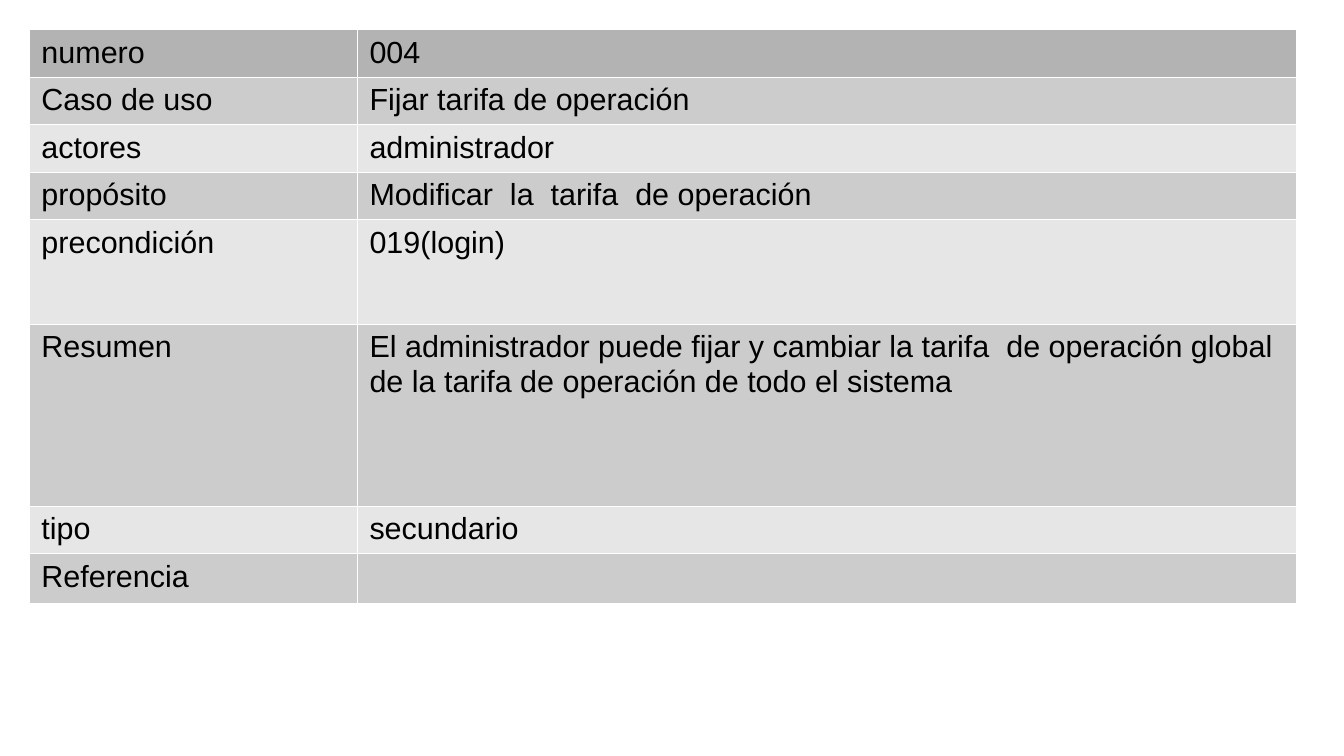
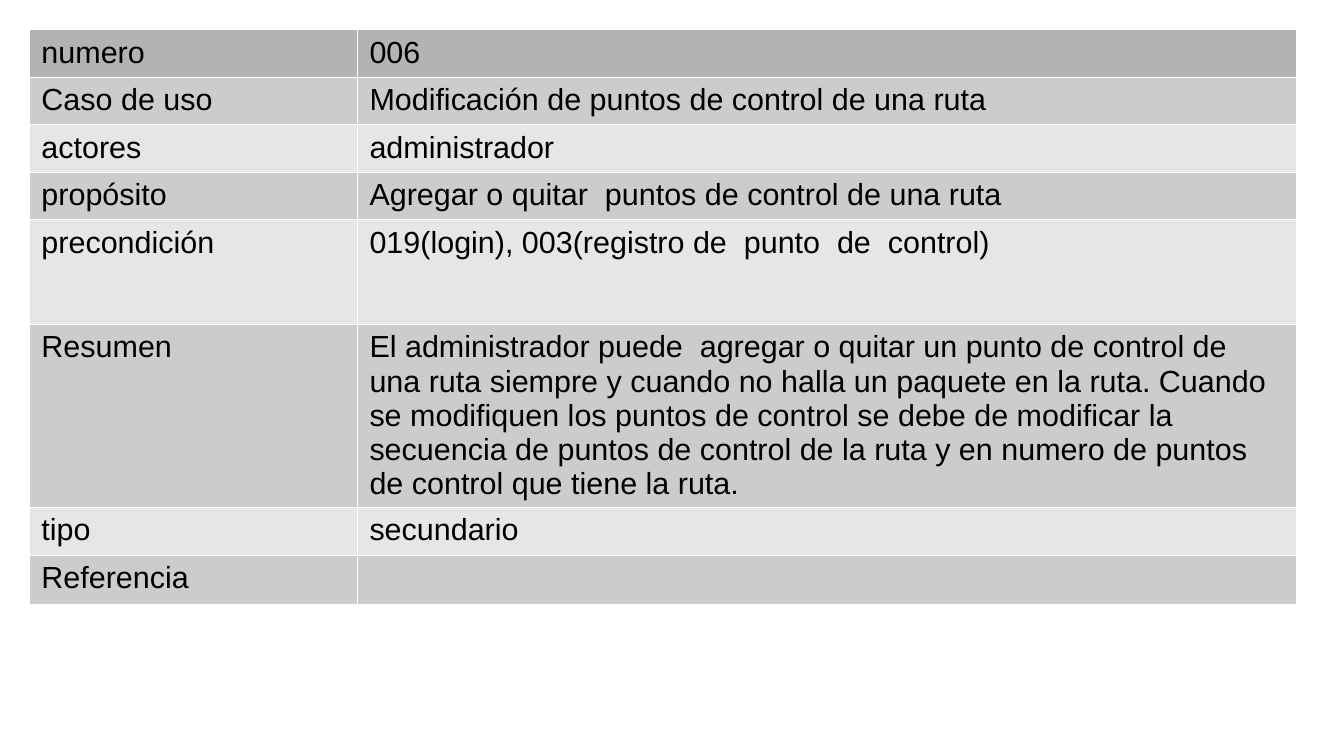
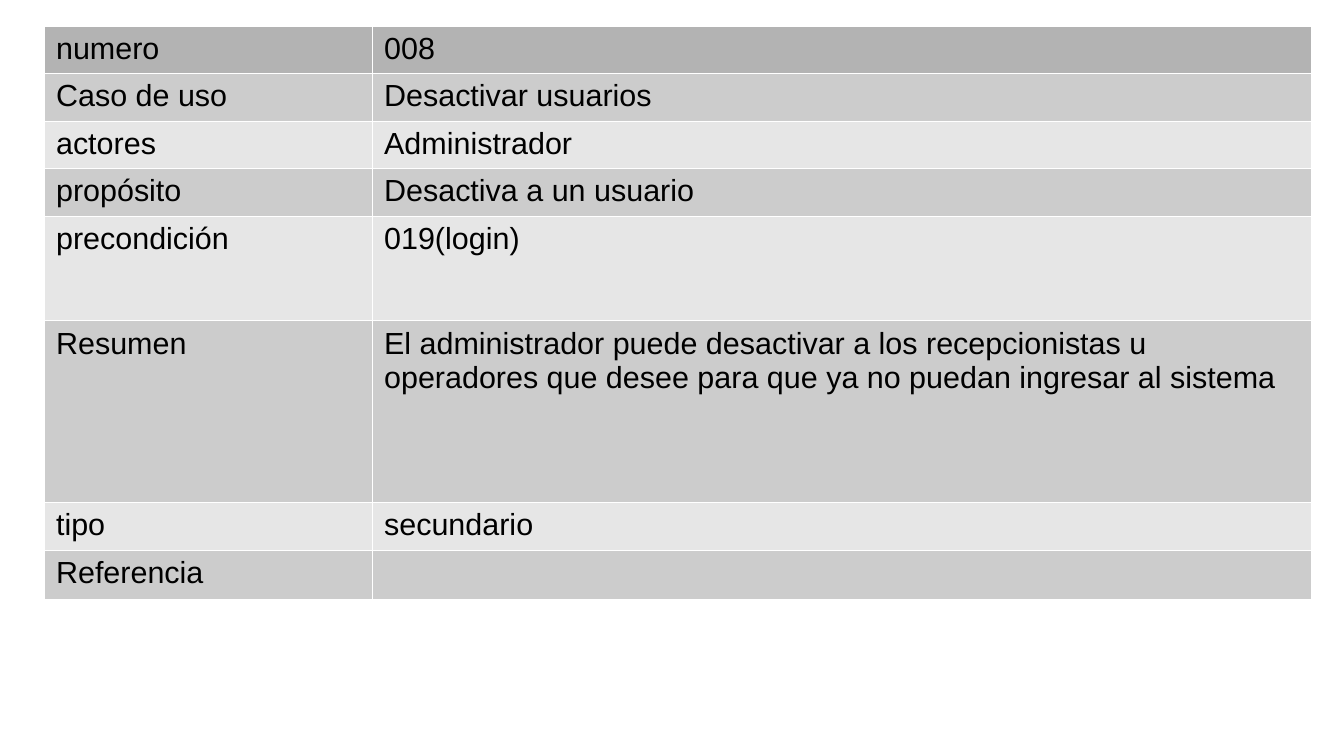
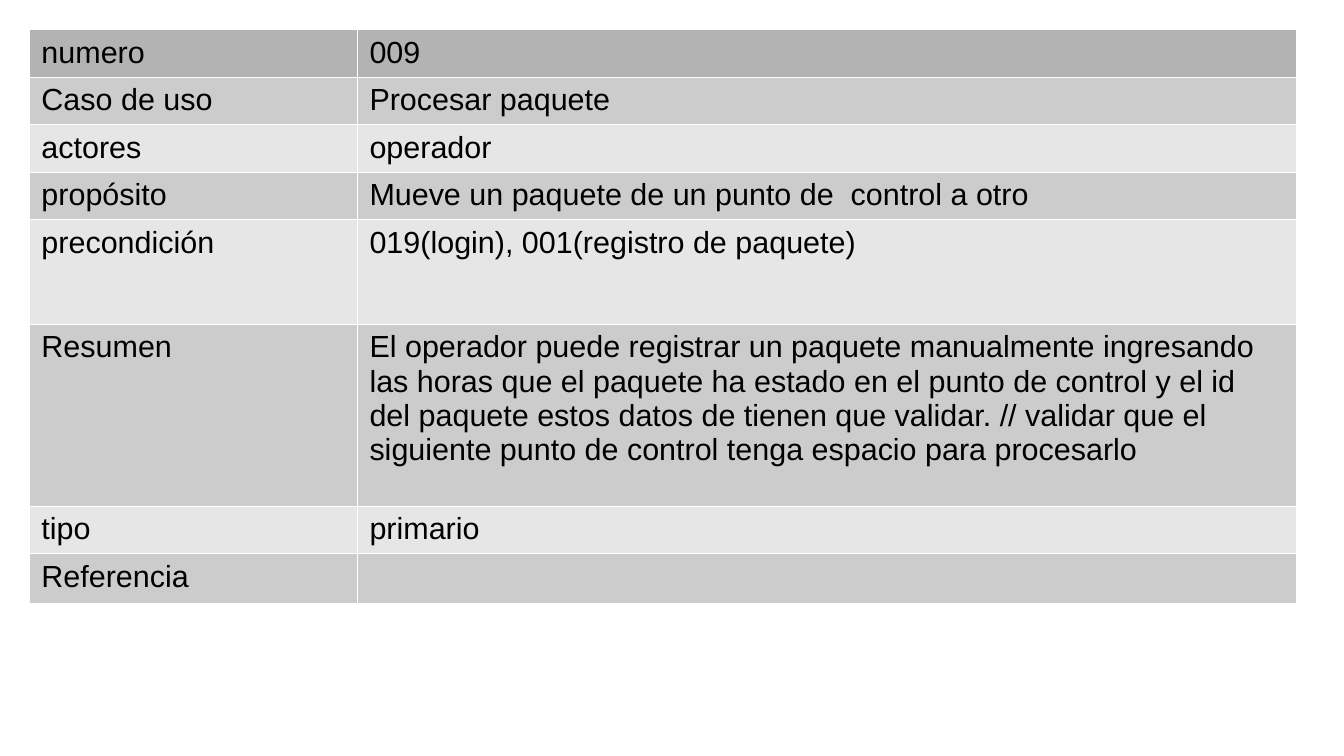
from dataclasses import dataclass

from lxml.etree import SubElement as Sub
from pptx import Presentation as Deck
from pptx.dml.color import RGBColor as Color
from pptx.oxml.ns import qn
from pptx.util import Inches, Pt


# Colours, type and table measures
@dataclass(frozen=True)
class Theme:
    font: str = "Arial"
    size: float = 18
    ink: str = "000000"
    head: str = "B3B3B3"
    bands: tuple = ("E6E6E6", "CCCCCC")
    rule: str = "FFFFFF"
    line: float = 0.06
    cols: tuple = (2.69, 7.7)
    rows: tuple = (0.39, 0.39, 0.39, 0.39, 0.86, 1.49, 0.39, 0.39)


LABELS = ("numero", "Caso de uso", "actores", "propósito",
          "precondición", "Resumen", "tipo", "Referencia")

# Left, top and values of each use case
HOME = (0.24, 0.24)
CASES = (
    (HOME, (
        "004", "Fijar tarifa de operación", "administrador",
        "Modificar  la  tarifa  de operación", "019(login)",
        "El administrador puede fijar y cambiar la tarifa  de operación "
        "global de la tarifa de operación de todo el sistema",
        "secundario", "")),
    (HOME, (
        "006", "Modificación de puntos de control de una ruta",
        "administrador", "Agregar o quitar  puntos de control de una ruta",
        "019(login), 003(registro de  punto  de  control)",
        "El administrador puede  agregar o quitar un punto de control de una "
        "ruta siempre y cuando no halla un paquete en la ruta. Cuando se "
        "modifiquen los puntos de control se debe de modificar la secuencia "
        "de puntos de control de la ruta y en numero de puntos de control "
        "que tiene la ruta.",
        "secundario", "")),
    ((0.36, 0.21), (
        "008", "Desactivar usuarios", "Administrador",
        "Desactiva a un usuario", "019(login)",
        "El administrador puede desactivar a los recepcionistas u operadores "
        "que desee para que ya no puedan ingresar al sistema",
        "secundario", "")),
    (HOME, (
        "009", "Procesar paquete", "operador",
        "Mueve un paquete de un punto de  control a otro",
        "019(login), 001(registro de paquete)",
        "El operador puede registrar un paquete manualmente ingresando las "
        "horas que el paquete ha estado en el punto de control y el id del "
        "paquete estos datos de tienen que validar. // validar que el "
        "siguiente punto de control tenga espacio para procesarlo",
        "primario", "")),
)


class Pen:
    def __init__(self, deck, theme):
        self.deck, self.theme = deck, theme
        self.slide = None

    def page(self):
        blank = self.deck.slide_layouts.get_by_name("Blank")
        self.slide = self.deck.slides.add_slide(blank)

    def table(self, left, top, data):
        look = self.theme
        grid = self.slide.shapes.add_table(
            len(look.rows), len(look.cols), Inches(left), Inches(top),
            Inches(sum(look.cols)), Inches(sum(look.rows))).table
        grid.first_row = grid.horz_banding = False
        for col, width in zip(grid.columns, look.cols):
            col.width = Inches(width)
        for row, tall in zip(grid.rows, look.rows):
            row.height = Inches(tall)
        for num, texts in enumerate(data):
            fill = look.bands[num % 2] if num else look.head
            for col, text in enumerate(texts):
                self.cell(grid.cell(num, col), text, fill)

    def cell(self, cell, text, fill):
        look = self.theme
        # Borders come before the fill in the cell's XML
        self.edges(cell)
        cell.fill.solid()
        cell.fill.fore_color.rgb = Color.from_string(fill)
        if text:
            cell.text_frame.text = text
            font = cell.text_frame.paragraphs[0].runs[0].font
            font.name, font.size = look.font, Pt(look.size)
            font.color.rgb = Color.from_string(look.ink)

    def edges(self, cell):
        props = cell._tc.get_or_add_tcPr()
        for side in "LRTB":
            line = Sub(props, qn(f"a:ln{side}"), w=str(Pt(self.theme.line)))
            paint = Sub(line, qn("a:solidFill"))
            Sub(paint, qn("a:srgbClr"), val=self.theme.rule)


def main():
    deck = Deck()
    deck.slide_width, deck.slide_height = Inches(11.02), Inches(6.2)
    pen = Pen(deck, Theme())
    for (left, top), values in CASES:
        pen.page()
        pen.table(left, top, zip(LABELS, values))
    deck.save("out.pptx")


if __name__ == "__main__":
    main()
